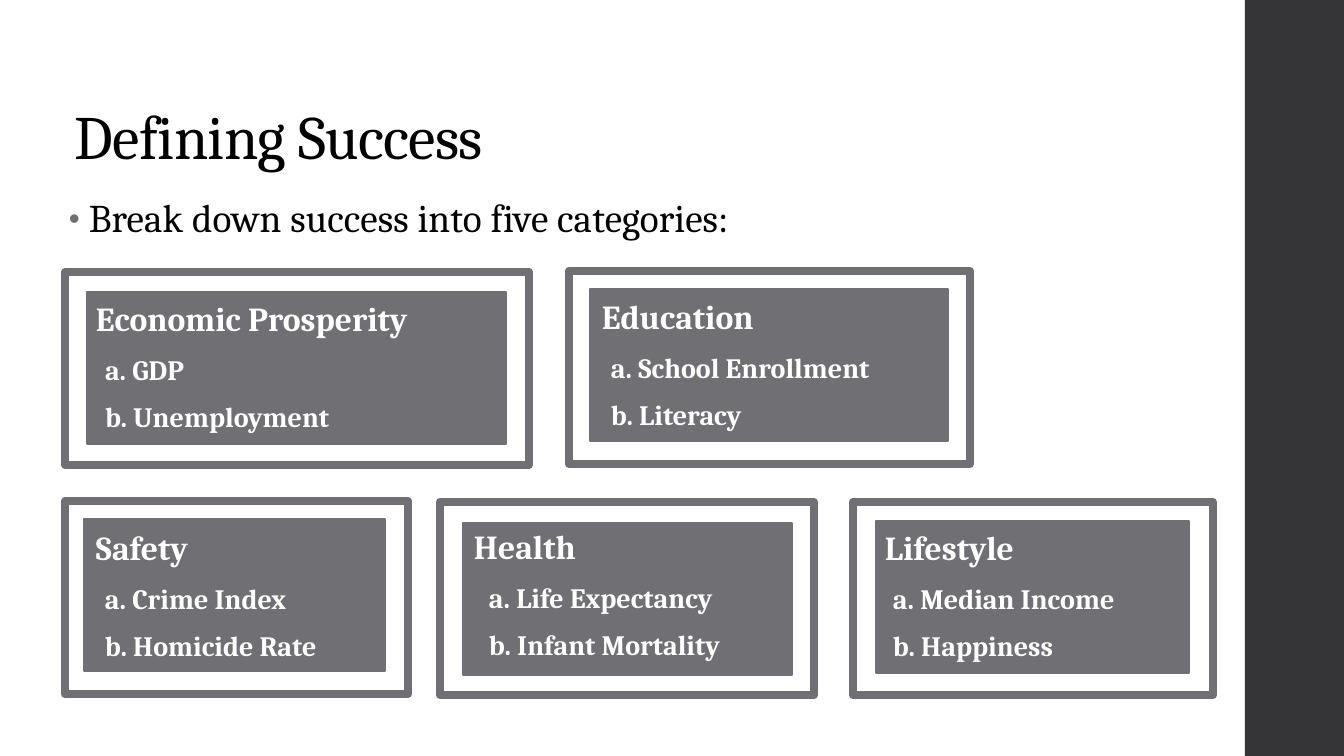
from lxml import etree
from pptx import Presentation
from pptx.dml.color import RGBColor
from pptx.enum.shapes import MSO_SHAPE
from pptx.enum.text import MSO_ANCHOR
from pptx.oxml.ns import qn
from pptx.util import Emu, Pt

RECTANGLE = MSO_SHAPE.RECTANGLE
BOTTOM = MSO_ANCHOR.BOTTOM
TOP = MSO_ANCHOR.TOP
EMU_PER_PX = 914400 / 100.8

THEME = {
    "font": "Cambria",
    "ink": RGBColor.from_string("000000"),
    "white": RGBColor.from_string("FFFFFF"),
    "gray": RGBColor.from_string("6F6F74"),
    "sidebar": RGBColor.from_string("353537"),
    "title": Pt(44),
    "lead": Pt(28),
    "heading": Pt(24),
    "item": Pt(20),
    "frame_line": Pt(6),
    "panel_line": Pt(1.1),
}


def px(*lengths):
    return [Emu(round(length * EMU_PER_PX)) for length in lengths]


def add_span(para, text, size, color, bold=False):
    span = para.add_run()
    span.text = text
    formats = {"name": THEME["font"], "size": THEME[size], "bold": bold}
    for name, value in formats.items():
        setattr(span.font, name, value)
    span.font.color.rgb = THEME[color]
    return span


deck = Presentation()
deck.slide_width, deck.slide_height = px(1344, 756)
page = deck.slides.add_slide(deck.slide_layouts[6])

sidebar = page.shapes.add_shape(RECTANGLE, *px(1245, 0, 99, 756))
sidebar.shadow.inherit = False
sidebar.fill.solid()
sidebar.fill.fore_color.rgb = THEME["sidebar"]
sidebar.line.fill.background()

openings = [
    ("Defining Success", "title", (65, 32, 1068, 146), BOTTOM, "-50",
     {"line_spacing": 0.9}),
    ("Break down success into five categories:", "lead", (59, 192, 973, 48), TOP, "10",
     {"line_spacing": 0.95, "space_before": Pt(14), "space_after": Pt(2)}),
]
for text, size, place, anchor, tracking, spacing in openings:
    box = page.shapes.add_textbox(*px(*place))
    box.text_frame.word_wrap = True
    box.text_frame.vertical_anchor = anchor
    para = box.text_frame.paragraphs[0]
    for name, value in spacing.items():
        setattr(para, name, value)
    span = add_span(para, text, size, "ink")
    span.font._element.set("spc", tracking)

bullet_indent = px(20)[0]
lead_format = para._p.get_or_add_pPr()
lead_format.set("marL", str(bullet_indent))
lead_format.set("indent", str(-bullet_indent))
bullet_color = etree.SubElement(lead_format, qn("a:buClr"))
etree.SubElement(bullet_color, qn("a:srgbClr"), val=str(THEME["gray"]))
etree.SubElement(lead_format, qn("a:buSzPct"), val="80000")
etree.SubElement(lead_format, qn("a:buFont"), typeface="Arial")
etree.SubElement(lead_format, qn("a:buChar"), char="•")

PANEL_HEIGHT = 152
FRAME_HEIGHT = 193
categories = [
    ("Safety", ["a. Crime Index", "b. Homicide Rate"],
     (84, 519, 301), (65, 501, 343), (96, 527), 9),
    ("Economic Prosperity", ["a. GDP", "b. Unemployment"],
     (87, 292, 419), (65, 272, 464), (96, 298), 9),
    ("Lifestyle", ["a. Median Income", "b. Happiness"],
     (876, 521, 313), (853, 502, 360), (885, 527), 8),
    ("Health", ["a. Life Expectancy", "b. Infant Mortality"],
     (463, 523, 329), (440, 502, 374), (474, 526), 15),
    ("Education", ["a. School Enrollment", "b. Literacy"],
     (590, 289, 358), (569, 271, 401), (602, 296), 9),
]
for heading, items, panel_place, frame_place, text_place, indent in categories:
    panel = page.shapes.add_shape(RECTANGLE, *px(*panel_place, PANEL_HEIGHT))
    panel.fill.solid()
    panel.fill.fore_color.rgb = THEME["gray"]
    frame = page.shapes.add_shape(RECTANGLE, *px(*frame_place, FRAME_HEIGHT))
    frame.fill.background()
    for shape, width in ((panel, "panel_line"), (frame, "frame_line")):
        shape.shadow.inherit = False
        shape.line.color.rgb = THEME["gray"]
        shape.line.width = THEME[width]

    text_left, text_top = text_place
    text_width = panel_place[0] + panel_place[2] - text_left
    box = page.shapes.add_textbox(*px(text_left, text_top, text_width, 139))
    body = box.text_frame
    body.word_wrap = True
    for side in ("left", "top", "right", "bottom"):
        setattr(body, f"margin_{side}", 0)
    body.paragraphs[0].space_before = Pt(10)
    add_span(body.paragraphs[0], heading, "heading", "white", True)
    for item in items:
        para = body.add_paragraph()
        para.space_before = Pt(10)
        para._p.get_or_add_pPr().set("marL", str(px(indent)[0]))
        add_span(para, item, "item", "white", True)

deck.save("out.pptx")
